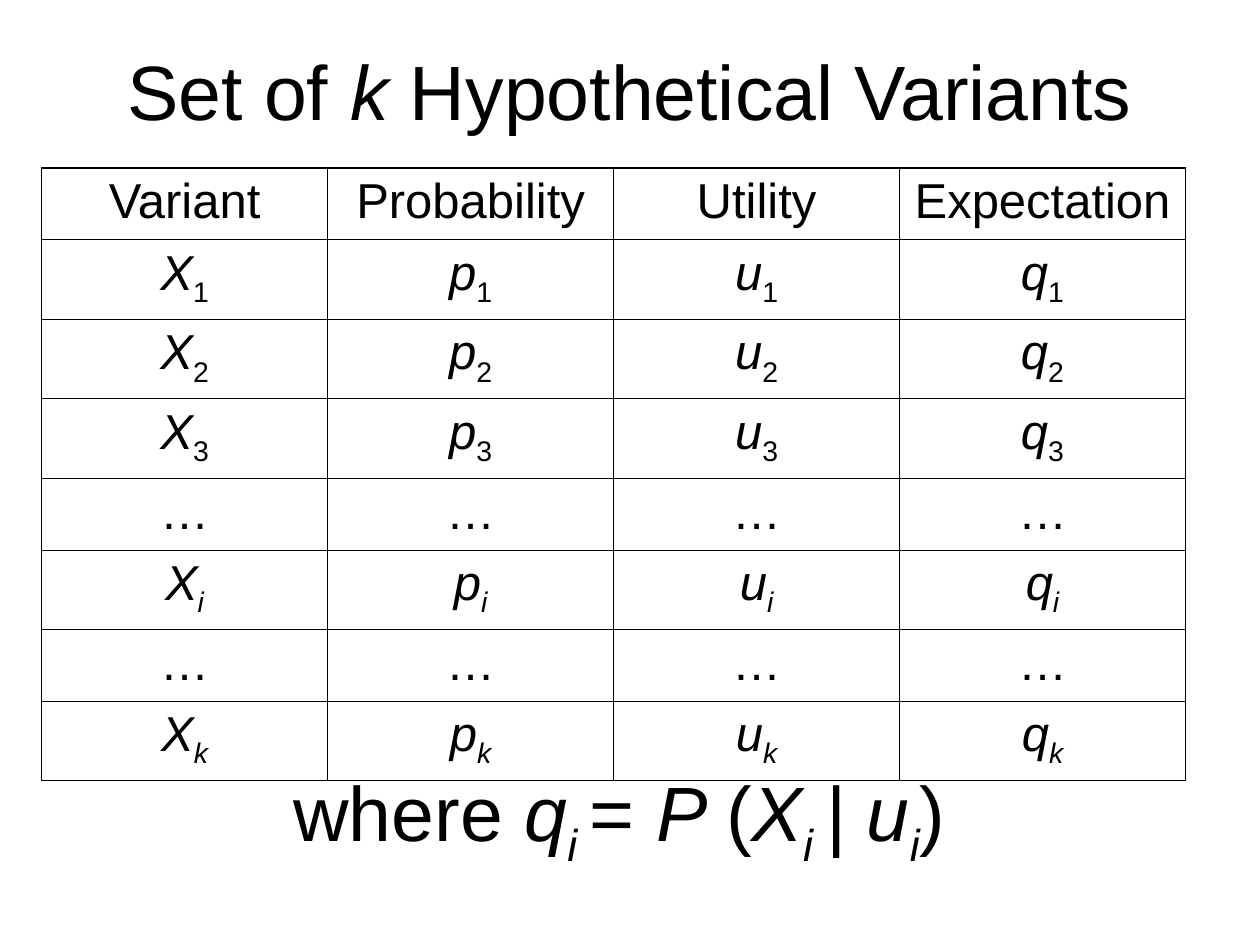
from lxml import etree
from pptx import Presentation
from pptx.dml.color import RGBColor
from pptx.enum.text import MSO_ANCHOR, PP_ALIGN
from pptx.oxml.ns import qn
from pptx.util import Inches, Pt

CENTER = PP_ALIGN.CENTER
MIDDLE = MSO_ANCHOR.MIDDLE
COLORS = {"text": "000000", "rule": "000000"}
FONT = "Arial"
SLIDE_W, SLIDE_H = Inches(10), Inches(7.5)
THIN, THICK = 0.45, 1.08

# Run styles: (italic, subscript)
PLAIN, ITALIC, SUB, ITALIC_SUB = (0, 0), (1, 0), (0, 1), (1, 1)

HEADERS = ["Variant", "Probability", "Utility", "Expectation"]
SYMBOLS = ["X", "p", "u", "q"]
INDICES = ["1", "2", "3", "…", "i", "…", "k"]
HEADER_ROW, INDEX_ROW = Inches(0.53), Inches(0.6)


def share(x, y, w, h):
    """Turn shares of the slide's size into a box."""
    return tuple(int(v) for v in (x * SLIDE_W, y * SLIDE_H, w * SLIDE_W, h * SLIDE_H))


def write(tf, runs, size, align=CENTER, color="text"):
    p = tf.paragraphs[0]
    p.alignment = align
    for text, (italic, subscript) in runs:
        r = p.add_run()
        r.text = text
        r.font.name = FONT
        r.font.size = Pt(size)
        r.font.italic = bool(italic)
        r.font.color.rgb = RGBColor.from_string(COLORS[color])
        if subscript:
            r.font._element.set("baseline", "-25000")


def add_line_of_text(slide, box, runs, size=44):
    tf = slide.shapes.add_textbox(*box).text_frame
    tf.word_wrap = True
    tf.vertical_anchor = MIDDLE
    write(tf, runs, size)


def set_borders(cell, widths):
    """Draw the left, right, top and bottom rules in the given point widths."""
    tc_pr = cell._tc.get_or_add_tcPr()
    for i, (side, width) in enumerate(zip("LRTB", widths)):
        ln = etree.Element(qn(f"a:ln{side}"), w=str(Pt(width)))
        fill = etree.SubElement(ln, qn("a:solidFill"))
        etree.SubElement(fill, qn("a:srgbClr"), val=COLORS["rule"])
        tc_pr.insert(i, ln)


def cell_runs(symbol, index):
    if index == "…":
        return [(index, PLAIN)]
    return [(symbol, ITALIC), (index, SUB if index.isdigit() else ITALIC_SUB)]


def add_variants_table(slide, box):
    rows = [[[(header, PLAIN)] for header in HEADERS]]
    rows += [[cell_runs(symbol, index) for symbol in SYMBOLS] for index in INDICES]
    last_row, last_col = len(rows) - 1, len(HEADERS) - 1

    table = slide.shapes.add_table(len(rows), len(HEADERS), *box).table
    table.first_row = table.horz_banding = False
    for row, label in zip(table.rows, ["…"] + INDICES):
        row.height = HEADER_ROW if label == "…" else INDEX_ROW

    for i, row in enumerate(rows):
        for j, runs in enumerate(row):
            cell = table.cell(i, j)
            cell.fill.background()
            write(cell.text_frame, runs, 28)
            outer = (j == 0, j == last_col, i == 0, i == last_row)
            set_borders(cell, [THICK if edge else THIN for edge in outer])


def main():
    prs = Presentation()
    prs.slide_width, prs.slide_height = SLIDE_W, SLIDE_H
    slide = prs.slides.add_slide(prs.slide_layouts[6])

    add_line_of_text(slide, share(0.05, 0.04, 0.9, 0.11), [
        ("Set of ", PLAIN), ("k", ITALIC), (" Hypothetical Variants", PLAIN)])
    add_variants_table(slide, share(0.033, 0.178, 0.908, 0.61))
    add_line_of_text(slide, share(0.075, 0.81, 0.85, 0.11), [
        ("where ", PLAIN), ("q", ITALIC), ("i ", ITALIC_SUB), ("= ", PLAIN),
        ("P ", ITALIC), ("(", PLAIN), ("X", ITALIC), ("i ", ITALIC_SUB),
        ("| u", ITALIC), ("i", ITALIC_SUB), (") ", PLAIN)])
    prs.save("out.pptx")


if __name__ == "__main__":
    main()
